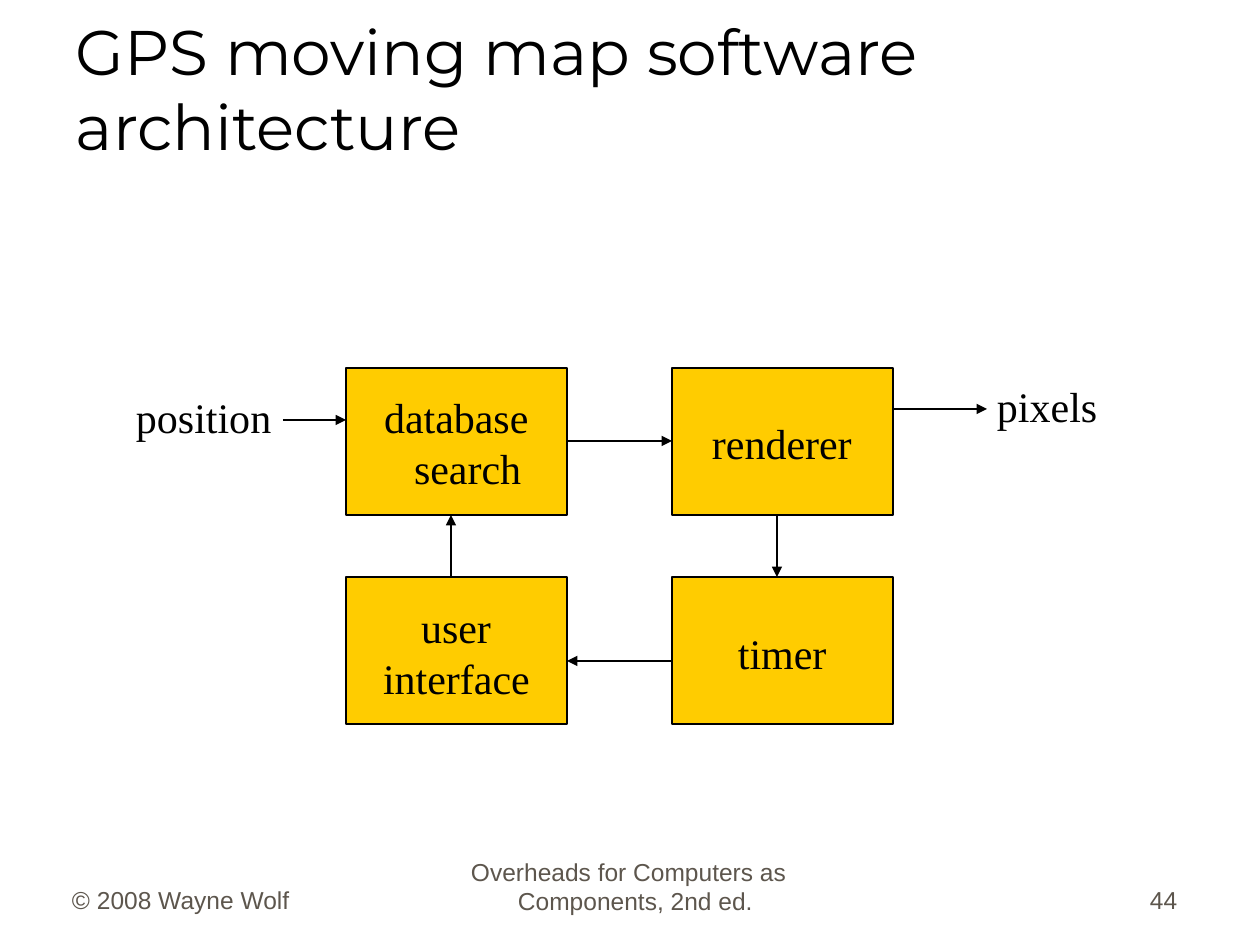
from dataclasses import dataclass

from lxml import etree
from pptx import Presentation
from pptx import util as u
from pptx.dml.color import RGBColor
from pptx.enum import shapes, text
from pptx.oxml.ns import qn

SCALE = 914400 // 126


def px(value):
    return u.Emu(value * SCALE)


@dataclass(frozen=True)
class Style:
    font: str
    size: int
    color: str
    leading: float = 0


class Theme:
    ink = "000000"
    box_fill = "FFCC00"
    box_line = 0.74
    arrow_line = 0.7
    title = Style("Montserrat", 36, ink)
    label = Style("Times New Roman", 24, ink, 29)
    footer = Style("Arial", 14, "5D564D", 16.7)
    footer_side = Style("Arial", 14, "5D564D", 16.4)


class Board:
    def __init__(self, slide, theme):
        self.slide = slide
        self.theme = theme

    def set_words(self, frame, words, style, top=0, margin=0, indent=0):
        frame.word_wrap = True
        frame.vertical_anchor = text.MSO_ANCHOR.TOP
        frame.margin_left = frame.margin_right = frame.margin_bottom = 0
        frame.margin_top = px(top)
        frame.text = words
        paragraph = frame.paragraphs[0]
        paragraph.alignment = text.PP_ALIGN.LEFT
        if style.leading:
            paragraph.line_spacing = u.Pt(style.leading)
        paragraph.font.name = style.font
        paragraph.font.size = u.Pt(style.size)
        paragraph.font.color.rgb = RGBColor.from_string(style.color)
        properties = paragraph._p.get_or_add_pPr()
        properties.set("marL", str(px(margin)))
        properties.set("indent", str(px(indent)))

    def caption(self, words, place, style, margin=1, indent=0):
        area = self.slide.shapes.add_textbox(*map(px, place))
        self.set_words(area.text_frame, words, style, 0, margin, indent)

    def module(self, words, place, top, margin, indent=0):
        box = self.slide.shapes.add_shape(
            shapes.MSO_SHAPE.RECTANGLE, *map(px, place))
        box.shadow.inherit = False
        box.fill.solid()
        box.fill.fore_color.rgb = RGBColor.from_string(self.theme.box_fill)
        box.line.color.rgb = RGBColor.from_string(self.theme.ink)
        box.line.width = u.Pt(self.theme.box_line)
        self.set_words(box.text_frame, words, self.theme.label, top, margin, indent)

    def arrow(self, *ends):
        link = self.slide.shapes.add_connector(
            shapes.MSO_CONNECTOR.STRAIGHT, *map(px, ends))
        link.line.color.rgb = RGBColor.from_string(self.theme.ink)
        link.line.width = u.Pt(self.theme.arrow_line)
        outline = link._element.spPr.find(qn("a:ln"))
        etree.SubElement(outline, qn("a:tailEnd"),
                         type="triangle", w="med", len="med")
        etree.SubElement(link._element.spPr, qn("a:effectLst"))


deck = Presentation()
deck.slide_width, deck.slide_height = px(1260), px(945)
theme = Theme()
board = Board(deck.slides.add_slide(deck.slide_layouts[6]), theme)

board.caption("GPS moving map software\varchitecture", (75, 12, 1113, 155), theme.title)

WIDTH, HEIGHT = 221, 147
LEFT, RIGHT = 346, 672
UPPER, LOWER = 368, 577
modules = [
    ("database\vsearch", LEFT, UPPER, 23, 68, -30),
    ("renderer", RIGHT, UPPER, 49, 40, 0),
    ("timer", RIGHT, LOWER, 50, 66, 0),
    ("user\vinterface", LEFT, LOWER, 24, 37, 38),
]
for words, x, y, top, margin, indent in modules:
    board.module(words, (x, y, WIDTH, HEIGHT), top, margin, indent)

board.caption("position", (135, 391, 145, 54), theme.label)
board.caption("pixels", (996, 380, 110, 54), theme.label)

arrows = [
    (283, 420, LEFT, 420),
    (RIGHT + WIDTH, 409, 987, 409),
    (LEFT + WIDTH, 441, RIGHT, 441),
    (777, UPPER + HEIGHT, 777, LOWER),
    (RIGHT, 661, LEFT + WIDTH, 661),
    (451, LOWER, 451, UPPER + HEIGHT),
]
for ends in arrows:
    board.arrow(*ends)

board.caption("Overheads for Computers as\vComponents, 2nd ed.",
              (470, 857, 330, 60), theme.footer, 48, -47)
board.caption("© 2008 Wayne Wolf", (71, 886, 235, 31), theme.footer_side)
board.caption("44", (1147, 886, 40, 31), theme.footer_side, 3)

deck.save("out.pptx")
